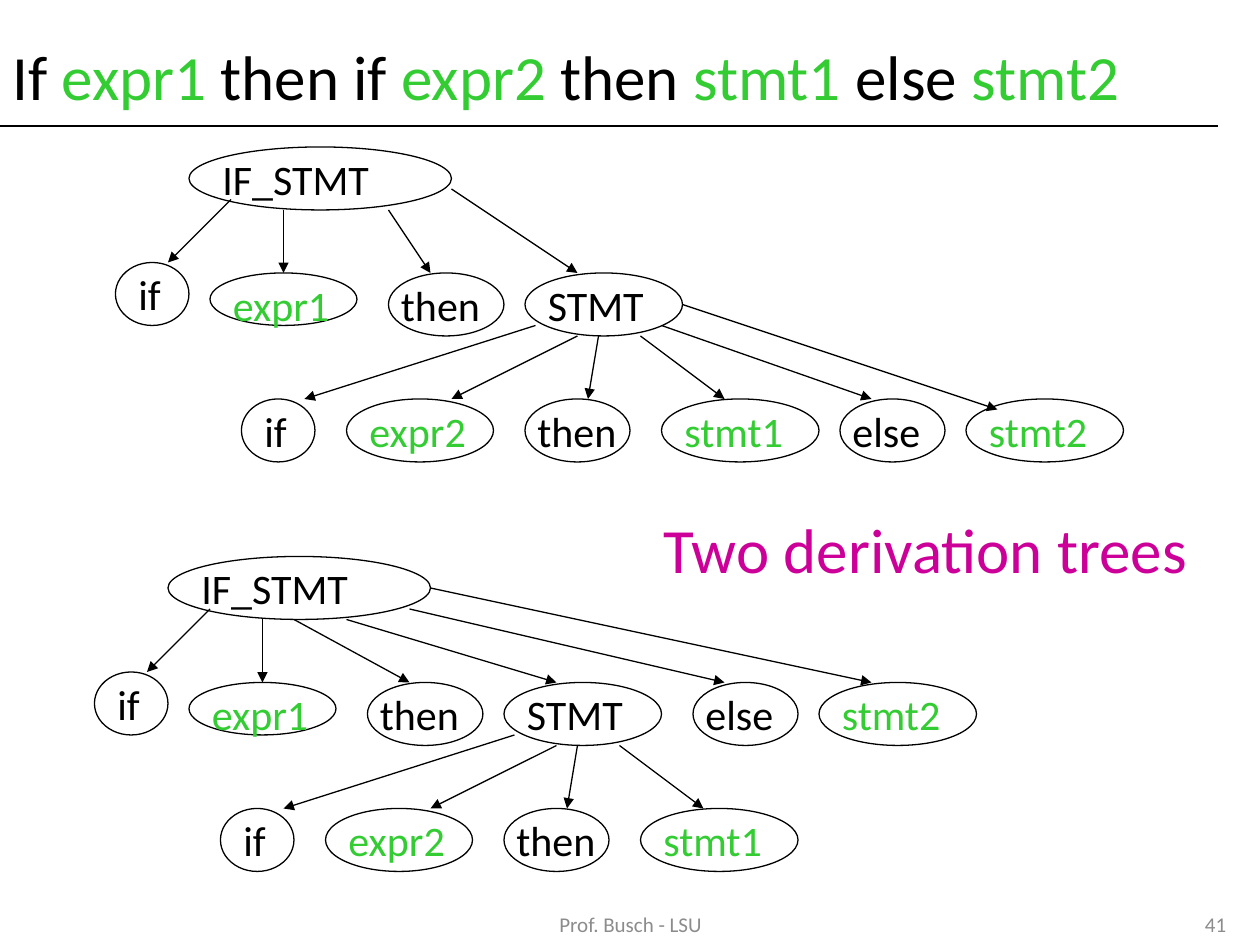
import pptx
import pptx.util
import pptx.dml.color
import pptx.enum.shapes
import pptx.enum.text
import pptx.oxml.ns
from dataclasses import dataclass
from lxml import etree
from pptx.util import Inches


@dataclass(frozen=True)
class Theme:
    font: str = "Calibri"
    black: str = "000000"
    green: str = "33CC33"
    magenta: str = "CC0099"
    gray: str = "8C8C8C"
    heading: int = 36
    label: int = 24
    footer: int = 12
    line: float = 0.75


theme = Theme()
align = pptx.enum.text.PP_ALIGN
anchors = pptx.enum.text.MSO_ANCHOR
TERMINALS = {"expr1", "expr2", "stmt1", "stmt2"}
GRID = 12  # grid steps per inch

presentation = pptx.Presentation()
presentation.slide_width = Inches(10)
presentation.slide_height = Inches(7.5)
slide = presentation.slides.add_slide(presentation.slide_layouts[6])


def add_text(runs, left, top, width, height, size=theme.label, alignment=align.LEFT,
             anchor=anchors.TOP, wrap=False, grow=True):
    """Add a one-line text box; runs is a list of (text, colour), sizes are in inches."""
    box = slide.shapes.add_textbox(Inches(left), Inches(top), Inches(width), Inches(height))
    frame = box.text_frame
    frame.word_wrap = wrap
    frame.vertical_anchor = anchor
    if grow:
        frame.auto_size = pptx.enum.text.MSO_AUTO_SIZE.SHAPE_TO_FIT_TEXT
    paragraph = frame.paragraphs[0]
    paragraph.alignment = alignment
    for text, color in runs:
        run = paragraph.add_run()
        run.text = text
        run.font.name = theme.font
        run.font.size = pptx.util.Pt(size)
        run.font.color.rgb = pptx.dml.color.RGBColor.from_string(color)


def add_line(x1, y1, x2, y2, arrow=False):
    connector = slide.shapes.add_connector(
        pptx.enum.shapes.MSO_CONNECTOR.STRAIGHT, Inches(x1), Inches(y1), Inches(x2), Inches(y2))
    connector.line.width = pptx.util.Pt(theme.line)
    connector.line.color.rgb = pptx.dml.color.RGBColor.from_string(theme.black)
    if arrow:
        etree.SubElement(connector.line._get_or_add_ln(), pptx.oxml.ns.qn("a:tailEnd"),
                         type="triangle", w="med", len="med")
    etree.SubElement(connector._element.spPr, pptx.oxml.ns.qn("a:effectLst"))


# Footer, title and caption
add_text([("Prof. Busch - LSU", theme.gray)], 3.42, 7.17, 3.17, 0.33, size=theme.footer,
         alignment=align.CENTER, anchor=anchors.MIDDLE, wrap=True, grow=False)
add_text([("41", theme.gray)], 7.75, 7.17, 2.08, 0.33, size=theme.footer,
         alignment=align.RIGHT, anchor=anchors.MIDDLE, wrap=True, grow=False)
title = ["If ", "expr1", " then if ", "expr2", " then ", "stmt1", " else ", "stmt2"]
add_text([(part, theme.green if part in TERMINALS else theme.black) for part in title],
         0, 0.25, 9.06, 0.71, size=theme.heading)
add_line(0, 1, 9.67, 1)
add_text([("Two derivation trees", theme.magenta)], 5.17, 4, 4.39, 0.71, size=theme.heading)

# Trees, in grid steps from the top left of the root
label_widths = {"IF_STMT": 1.78, "STMT": 1.18, "if": 0.47, "then": 0.91, "else": 0.82,
                "expr1": 1.07, "expr2": 1.12, "stmt1": 1.08, "stmt2": 1.14}

# text, left, top, width, height, label indent
shared_nodes = [
    ("IF_STMT", 0, 0, 25, 6, 2),
    ("if", -7, 11, 7, 6, 1),
    ("expr1", 2, 12, 14, 5, 1),
    ("then", 19, 12, 11, 6, 0),
    ("STMT", 32, 12, 15, 6, 1),
    ("if", 5, 24, 7, 6, 1),
    ("expr2", 15, 24, 14, 6, 1),
    ("then", 32, 24, 10, 6, 0),
    ("stmt1", 45, 24, 15, 6, 1),
]
# from x, from y, to x, to y
shared_arrows = [
    (4, 5, -2, 11), (9, 6, 9, 12),
    (33, 17, 11, 24), (37, 18, 25, 24), (39, 18, 38, 24), (43, 18, 51, 24),
]
# root left, root top, nodes of the else part, remaining arrows
trees = [
    (18, 14,
     [("else", 62, 24, 10, 6, 0), ("stmt2", 74, 24, 15, 6, 1)],
     [(19, 6, 23, 12), (25, 4, 37, 12), (45, 17, 65, 24), (47, 15, 77, 25)]),
    (16, 53,
     [("else", 50, 12, 10, 6, 0), ("stmt2", 62, 12, 15, 6, 1)],
     [(12, 6, 23, 12), (17, 6, 37, 12), (23, 5, 53, 12), (25, 3, 67, 12)]),
]

for root_left, root_top, else_nodes, other_arrows in trees:
    for text, x, y, width, height, indent in shared_nodes + else_nodes:
        left, top = (root_left + x) / GRID, (root_top + y) / GRID
        ellipse = slide.shapes.add_shape(
            pptx.enum.shapes.MSO_SHAPE.OVAL, Inches(left), Inches(top),
            Inches(width / GRID), Inches(height / GRID))
        ellipse.shadow.inherit = False
        ellipse.fill.background()
        ellipse.line.width = pptx.util.Pt(theme.line)
        ellipse.line.color.rgb = pptx.dml.color.RGBColor.from_string(theme.black)
        color = theme.green if text in TERMINALS else theme.black
        add_text([(text, color)], left + indent / GRID, top, label_widths[text], 0.5,
                 wrap=text == "if")
    for x1, y1, x2, y2 in shared_arrows + other_arrows:
        add_line((root_left + x1) / GRID, (root_top + y1) / GRID,
                 (root_left + x2) / GRID, (root_top + y2) / GRID, arrow=True)

presentation.save("out.pptx")
